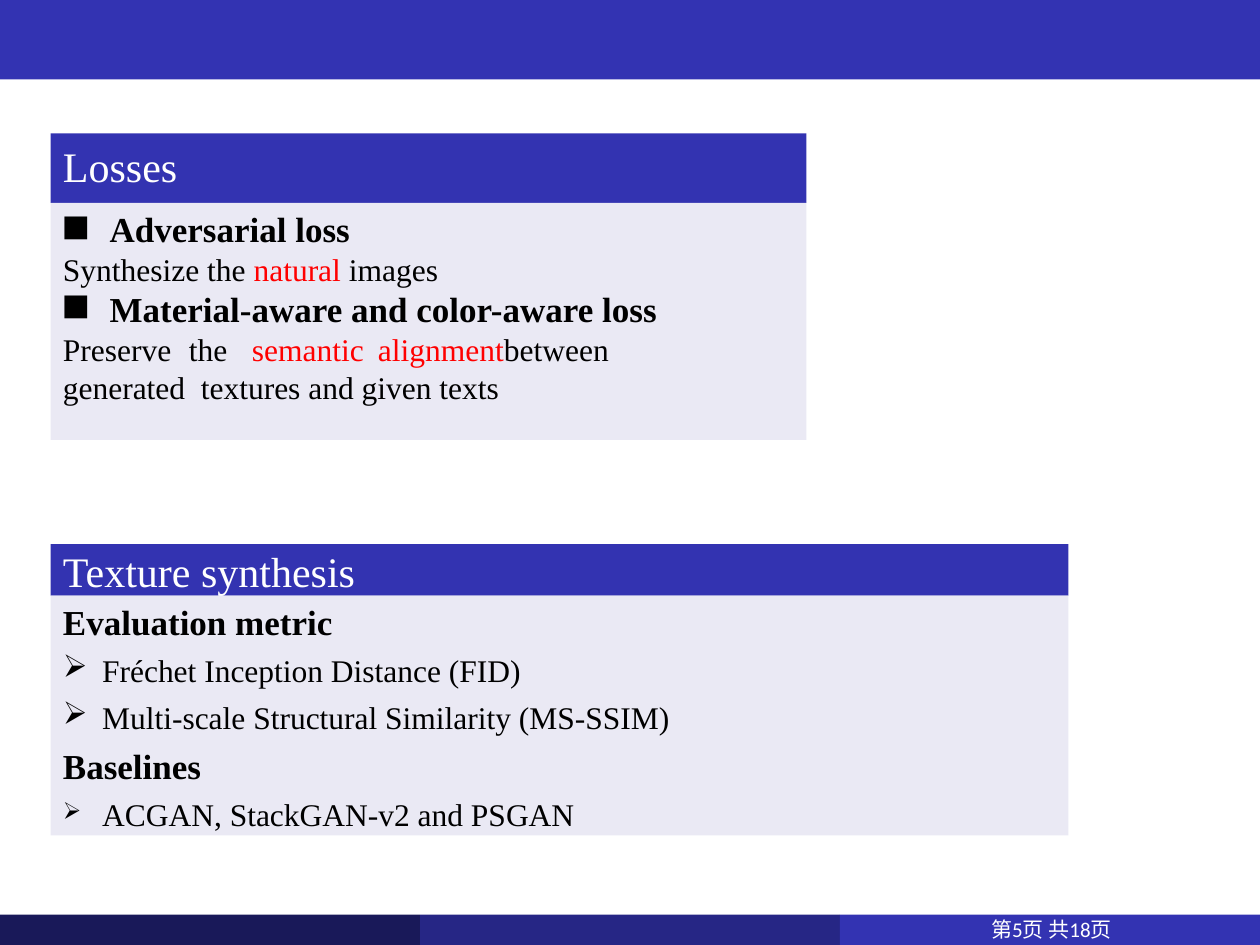
from lxml import etree
from pptx import Presentation
from pptx import util as u
from pptx.dml.color import RGBColor
from pptx.enum import shapes, text
from pptx.oxml import ns

COLORS = {
    "navy": "191959", "indigo": "262685", "blue": "3333B2", "header": "3333B1",
    "panel": "EAE9F4", "black": "000000", "red": "FF0000", "white": "FFFFFF",
}
SERIF = "Times New Roman"
WIDTH, HEIGHT = 25.4, 19.05
LEFT = 1.02
PLAIN_MARGIN = (0.25, 0)
SQUARE_MARGIN = (1.19, -0.97)
ARROW_MARGIN = (1.04, -0.79)


def heading(words, bullet=None, before=0, line=None):
    margin = SQUARE_MARGIN if bullet else PLAIN_MARGIN
    return dict(runs=[(words, "black")], size=20, bold=True, margin=margin,
                bullet=bullet, before=before, line=line)


def plain(*runs, **options):
    return dict(runs=runs, size=18, margin=PLAIN_MARGIN, before=0.1, line=21.6, **options)


def arrow_item(words, bullet_size=100):
    return dict(runs=[(words, "black")], size=18, margin=ARROW_MARGIN,
                bullet="➢", bullet_size=bullet_size, before=5)


def add_bar(page, left, top, width, height, color):
    bar = page.shapes.add_shape(shapes.MSO_SHAPE.RECTANGLE, u.Cm(left), u.Cm(top),
                                u.Cm(width), u.Cm(height))
    bar.shadow.inherit = False
    bar.fill.solid()
    bar.fill.fore_color.rgb = RGBColor.from_string(COLORS[color])
    bar.line.fill.background()
    return bar


def add_run(para, words, size, color, font=SERIF, bold=False):
    span = para.add_run()
    span.text = words
    span.font.name = font
    span.font.size = u.Pt(size)
    span.font.bold = bold
    span.font.color.rgb = RGBColor.from_string(COLORS[color])


def add_element(parent, tag, **attributes):
    child = etree.SubElement(parent, ns.qn(tag))
    for name, value in attributes.items():
        child.set(name, str(value))
    return child


def fill_para(para, runs, size, margin, bold=False, bullet=None, bullet_size=100,
              before=0, line=None, tabs=(), right=0):
    para.alignment = text.PP_ALIGN.LEFT
    para.space_before = u.Pt(before)
    if line:
        para.line_spacing = u.Pt(line)
    props = para._p.get_or_add_pPr()
    for name, value in zip(("marL", "indent"), margin):
        props.set(name, str(u.Cm(value)))
    props.set("marR", str(u.Cm(right)))
    if bullet:
        add_element(props, "a:buSzPct", val=bullet_size * 1000)
        add_element(props, "a:buChar", char=bullet)
    if tabs:
        stops = add_element(props, "a:tabLst")
        for stop in tabs:
            add_element(stops, "a:tab", pos=u.Cm(stop), algn="l")
    for words, color in runs:
        add_run(para, words, size, color, bold=bold)


def fill_box(box, inset, paras):
    frame = box.text_frame
    frame.word_wrap = True
    frame.vertical_anchor = text.MSO_ANCHOR.TOP
    frame.margin_left = frame.margin_right = frame.margin_bottom = 0
    frame.margin_top = u.Cm(inset)
    for index, content in enumerate(paras):
        para = frame.add_paragraph() if index else frame.paragraphs[0]
        fill_para(para, **content)


def add_block(page, top, width, title, title_height, title_inset, title_before,
              body_height, paras):
    header = add_bar(page, LEFT, top, width, title_height, "header")
    fill_box(header, title_inset, [dict(runs=[(title, "white")], size=24,
                                        margin=PLAIN_MARGIN, before=title_before)])
    body = add_bar(page, LEFT, top + title_height, width, body_height, "panel")
    fill_box(body, 0.1, paras)


def add_frame(page):
    third = WIDTH / 3
    height = 0.61
    for index, color in enumerate(("navy", "indigo", "blue")):
        add_bar(page, index * third, HEIGHT - height, third, height, color)
    add_bar(page, 0, 0, WIDTH, 1.6, "blue")
    box = page.shapes.add_textbox(u.Cm(16.99), u.Cm(18.41), u.Cm(8.41), u.Cm(0.66))
    frame = box.text_frame
    frame.word_wrap = True
    frame.vertical_anchor = text.MSO_ANCHOR.MIDDLE
    para = frame.paragraphs[0]
    para.alignment = text.PP_ALIGN.CENTER
    add_run(para, "第5页 共18页", 12, "white", font="Calibri")


def main():
    deck = Presentation()
    deck.slide_width, deck.slide_height = u.Cm(WIDTH), u.Cm(HEIGHT)
    page = deck.slides.add_slide(deck.slide_layouts[6])
    add_frame(page)
    add_block(page, 2.69, 15.24, "Losses", 1.4, 0.15, 4.7, 4.78, [
        heading("Adversarial loss", bullet="◼", before=3),
        plain(("Synthesize the ", "black"), ("natural ", "red"), ("images", "black")),
        heading("Material-aware and color-aware loss", bullet="◼", line=23.9),
        plain(("Preserve\tthe\t", "black"), ("semantic\talignment\t", "red"),
              ("between\tgenerated  textures and given texts", "black"),
              tabs=(2.92, 4.17, 6.91, 9.93, 12.52), right=2.5),
    ])
    add_block(page, 10.97, 20.52, "Texture synthesis", 1.04, 0.03, 0.6, 4.83, [
        heading("Evaluation metric", before=3),
        arrow_item("Fréchet Inception Distance (FID)"),
        arrow_item("Multi-scale Structural Similarity (MS-SSIM)"),
        heading("Baselines", before=5),
        arrow_item("ACGAN, StackGAN-v2 and PSGAN", bullet_size=75),
    ])
    deck.save("out.pptx")


if __name__ == "__main__":
    main()
